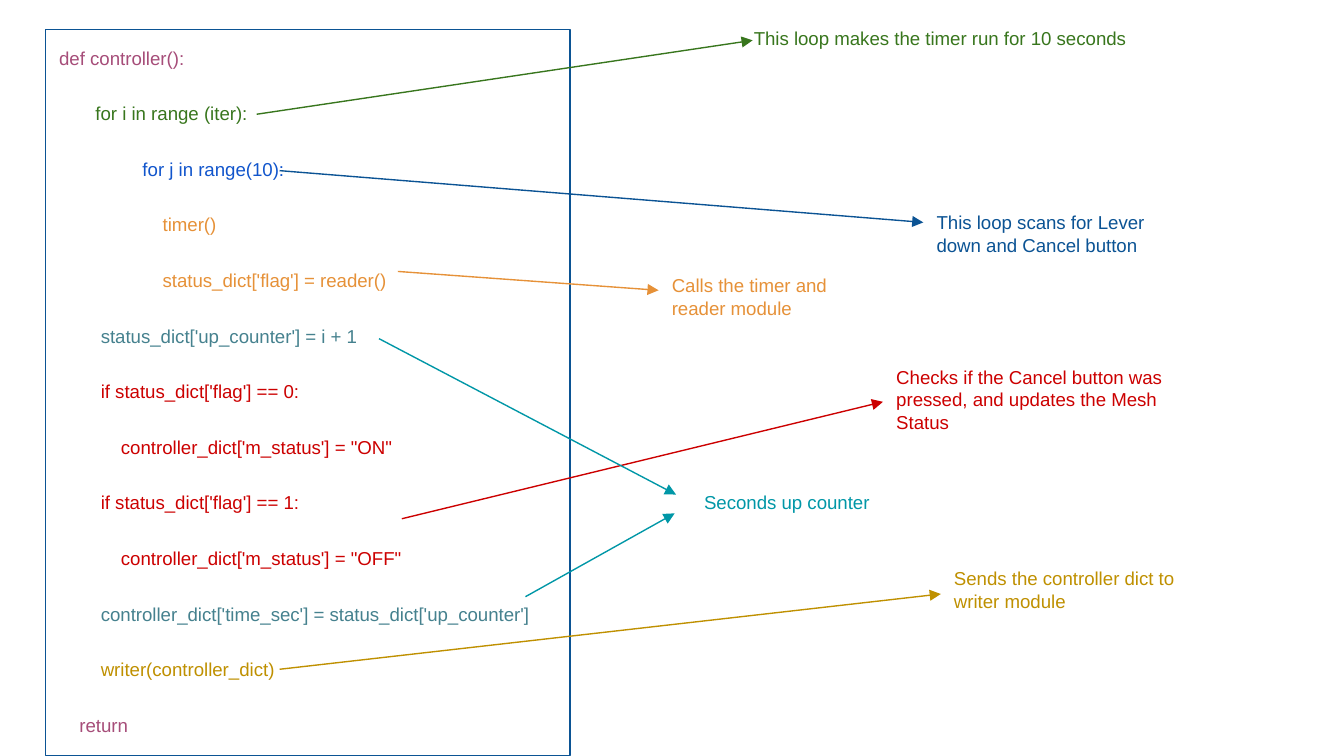
from lxml import etree
from pptx import Presentation
from pptx.dml.color import RGBColor
from pptx.enum.shapes import MSO_CONNECTOR
from pptx.enum.text import MSO_ANCHOR, MSO_AUTO_SIZE, PP_ALIGN
from pptx.oxml.ns import qn
from pptx.util import Inches, Pt

FONT = "Arial"
PURPLE = RGBColor(0xA6, 0x4D, 0x79)
GREEN = RGBColor(0x38, 0x76, 0x1D)
BLUE = RGBColor(0x11, 0x55, 0xCC)
NAVY = RGBColor(0x0B, 0x53, 0x94)
ORANGE = RGBColor(0xE6, 0x91, 0x38)
SLATE = RGBColor(0x45, 0x81, 0x8E)
TEAL = RGBColor(0x00, 0x97, 0xA7)
RED = RGBColor(0xCC, 0x00, 0x00)
GOLD = RGBColor(0xBF, 0x90, 0x00)

CODE = [
    (0, "def controller():", PURPLE),
    (0.27, "for i in range (iter):", GREEN),
    (0.62, "for j in range(10):", BLUE),
    (0.77, "timer()", ORANGE),
    (0.77, "status_dict['flag'] = reader()", ORANGE),
    (0.31, "status_dict['up_counter'] = i + 1", SLATE),
    (0.31, "if status_dict['flag'] == 0:", RED),
    (0.46, "controller_dict['m_status'] = \"ON\"", RED),
    (0.31, "if status_dict['flag'] == 1:", RED),
    (0.46, "controller_dict['m_status'] = \"OFF\"", RED),
    (0.31, "controller_dict['time_sec'] = status_dict['up_counter']", SLATE),
    (0.31, "writer(controller_dict)", GOLD),
    (0.15, "return", PURPLE),
]


def set_frame(tf):
    tf.word_wrap = True
    tf.auto_size = MSO_AUTO_SIZE.NONE
    tf.vertical_anchor = MSO_ANCHOR.TOP
    tf.margin_left = tf.margin_right = Inches(0.1)
    tf.margin_top = tf.margin_bottom = Inches(0.1)


def set_text(p, text, color):
    p.text = text
    p.alignment = PP_ALIGN.LEFT
    font = p.runs[0].font
    font.name = FONT
    font.size = Pt(10)
    font.color.rgb = color


def add_code(s):
    body = s.placeholders[1]
    body.left, body.top = Inches(0.34), Inches(0.22)
    body.width, body.height = Inches(3.9), Inches(5.4)
    body.line.color.rgb = NAVY
    body.line.width = Pt(0.75)
    tf = body.text_frame
    set_frame(tf)
    for i, (indent, text, color) in enumerate(CODE):
        p = tf.add_paragraph() if i else tf.paragraphs[0]
        set_text(p, text, color)
        p.line_spacing = 1.15
        p.space_before = Pt(16 if i else 0)
        p.space_after = Pt(0)
        pPr = p._p.get_or_add_pPr()
        pPr.set("marL", str(Inches(indent)))
        pPr.set("indent", "0")
        etree.SubElement(pPr, qn("a:buNone"))


def add_note(s, x, y, w, h, text, color):
    box = s.shapes.add_textbox(Inches(x), Inches(y), Inches(w), Inches(h))
    set_frame(box.text_frame)
    set_text(box.text_frame.paragraphs[0], text, color)
    return box


def add_arrow(s, start, end, color, target=None):
    x1, y1, x2, y2 = (Inches(v) for v in start + end)
    line = s.shapes.add_connector(MSO_CONNECTOR.STRAIGHT, x1, y1, x2, y2)
    if target is not None:
        line.end_connect(target, 1)
    line.line.color.rgb = color
    line.line.width = Pt(0.75)
    ln = line.line._get_or_add_ln()
    etree.SubElement(ln, qn("a:tailEnd"), type="triangle")
    etree.SubElement(line._element.spPr, qn("a:effectLst"))


def main():
    prs = Presentation()
    prs.slide_width = Inches(10)
    prs.slide_height = prs.slide_width * 9 // 16
    s = prs.slides.add_slide(prs.slide_layouts[1])
    title = s.shapes.title._element
    title.getparent().remove(title)
    add_code(s)

    add_note(s, 5.51, 0.1, 2.99, 0.5, "This loop makes the timer run for 10 seconds", GREEN)
    scan = add_note(s, 6.87, 1.47, 2.02, 0.37,
                    "This loop scans for Lever down and Cancel button", NAVY)
    add_note(s, 4.9, 1.94, 1.41, 0.5, "Calls the timer and reader module", ORANGE)
    check = add_note(s, 6.57, 2.62, 2.42, 0.74,
                     "Checks if the Cancel button was pressed, and updates the Mesh Status", RED)
    add_note(s, 5.14, 3.55, 1.48, 0.37, "Seconds up counter", TEAL)
    add_note(s, 7, 4.12, 1.9, 0.37, "Sends the controller dict to writer module", GOLD)

    add_arrow(s, (1.91, 0.85), (5.6, 0.3), GREEN)
    add_arrow(s, (2.08, 1.27), (6.87, 1.64), NAVY, scan)
    add_arrow(s, (2.96, 2.02), (4.9, 2.16), ORANGE)
    add_arrow(s, (2.99, 3.86), (6.57, 3), RED, check)
    add_arrow(s, (2.82, 2.52), (5.03, 3.68), TEAL)
    add_arrow(s, (3.91, 4.44), (5.02, 3.82), TEAL)
    add_arrow(s, (2.08, 4.98), (7, 4.42), GOLD)
    prs.save("out.pptx")


if __name__ == "__main__":
    main()
